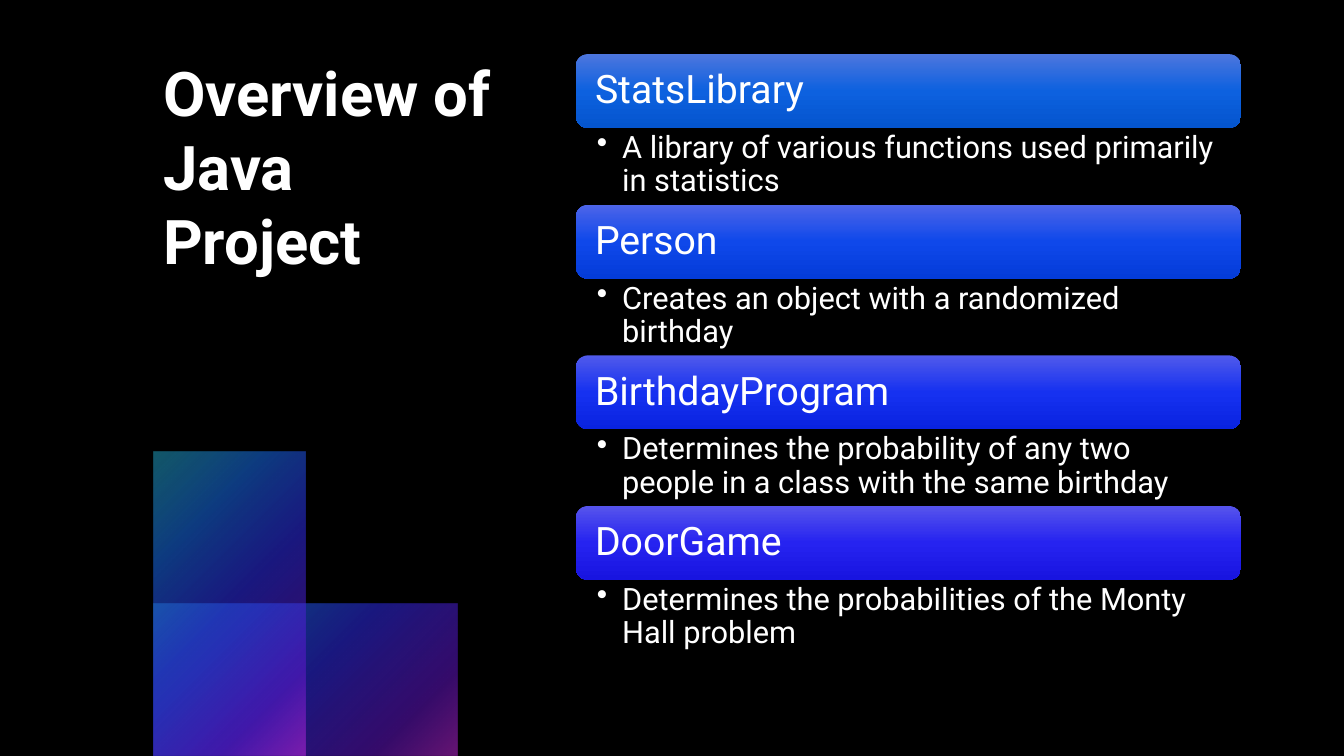
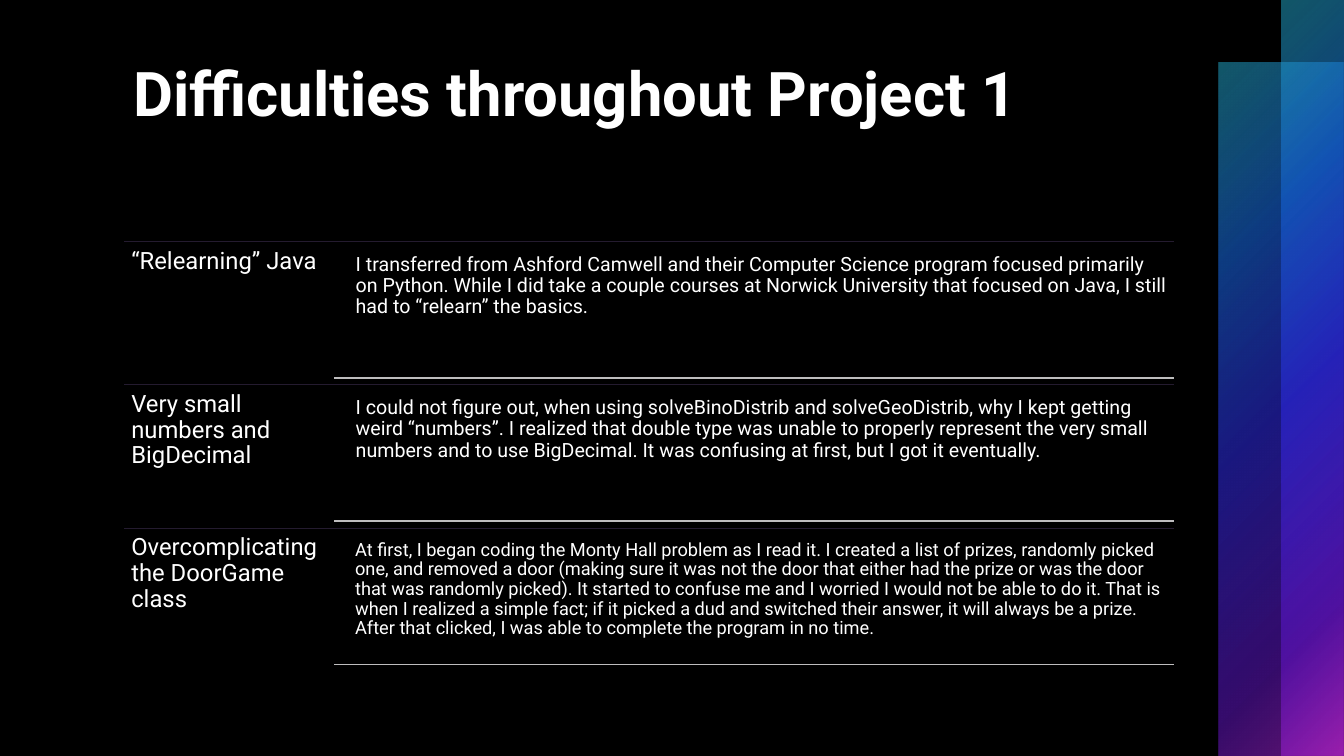
from lxml import etree
from pptx import Presentation
from pptx.dml.color import RGBColor
from pptx.enum import shapes, text
from pptx.oxml import ns
from pptx.util import Pt

WIDTH, HEIGHT = 960, 540
FONT = "Roboto"
COLORS = {"background": "000000", "text": "FFFFFF", "faint rule": "241B2F", "rule": "BEBDBE"}
# Gradient stops: position %, colour, opacity %
GLOW = [(0, "25AECE", 50), (25, "1763D5", 60), (50, "2F2CE7", 55),
        (81, "6A17D5", 50), (99, "CB29E7", 50)]

OVERVIEW_TITLE = "Overview of Java Project"
CLASSES = [
    ("StatsLibrary", "A library of various functions used primarily in statistics",
     ("4D76DE", "0D61DF", "0455CE")),
    ("Person", "Creates an object with a randomized birthday",
     ("4D65E9", "0F48EA", "043CD9")),
    ("BirthdayProgram",
     "Determines the probability of any two people in a class with the same birthday",
     ("505AEB", "1631F0", "0923E0")),
    ("DoorGame", "Determines the probabilities of the Monty Hall problem",
     ("5654EC", "2623F0", "1814E0")),
]

DIFFICULTIES_TITLE = "Difficulties throughout Project 1"
# Topic, explanation, explanation size, explanation inset
DIFFICULTIES = [
    ("“Relearning” Java",
     "I transferred from Ashford Camwell and their Computer Science program focused "
     "primarily on Python. While I did take a couple courses at Norwick University that "
     "focused on Java, I still had to “relearn” the basics.", 14, 4.2),
    ("Very small numbers and BigDecimal",
     "I could not figure out, when using solveBinoDistrib and solveGeoDistrib, why I kept "
     "getting weird “numbers”. I realized that double type was unable to properly represent "
     "the very small numbers and to use BigDecimal. It was confusing at first, but I got it "
     "eventually.", 14, 4.2),
    ("Overcomplicating the DoorGame class",
     "At first, I began coding the Monty Hall problem as I read it. I created a list of "
     "prizes, randomly picked one, and removed a door (making sure it was not the door that "
     "either had the prize or was the door that was randomly picked). It started to confuse "
     "me and I worried I would not be able to do it. That is when I realized a simple fact; "
     "if it picked a dud and switched their answer, it will always be a prize. After that "
     "clicked, I was able to complete the program in no time.", 13, 3.8),
]


def points(*lengths):
    return [Pt(length) for length in lengths]


def add_element(parent, tag, **attributes):
    return etree.SubElement(parent, ns.qn(tag), attributes)


def fill_gradient(shape, stops, from_corner=False):
    """Fill from the top left corner outwards, or else from top to bottom."""
    gradient = etree.Element(ns.qn("a:gradFill"), rotWithShape="1")
    stop_list = add_element(gradient, "a:gsLst")
    for position, color, opacity in stops:
        stop = add_element(stop_list, "a:gs", pos=str(position * 1000))
        tint = add_element(stop, "a:srgbClr", val=color)
        if opacity < 100:
            add_element(tint, "a:alpha", val=str(opacity * 1000))
    if from_corner:
        circle = add_element(gradient, "a:path", path="circle")
        add_element(circle, "a:fillToRect", r="100000", b="100000")
    else:
        add_element(gradient, "a:lin", ang="5400000", scaled="0")
    shape.element.spPr.find(ns.qn("a:prstGeom")).addnext(gradient)


def add_panel(slide, kind, box, stops, from_corner=False):
    panel = slide.shapes.add_shape(kind, *points(*box))
    panel.shadow.inherit = False
    panel.line.fill.background()
    fill_gradient(panel, stops, from_corner)
    return panel


def write(shape, words, size, insets, bold=False, spacing=0.9,
          anchor=text.MSO_ANCHOR.TOP):
    frame = shape.text_frame
    frame.text = words
    frame.word_wrap = True
    frame.vertical_anchor = anchor
    frame.margin_left, frame.margin_top, frame.margin_right, frame.margin_bottom = points(*insets)
    paragraph = frame.paragraphs[0]
    paragraph.alignment = text.PP_ALIGN.LEFT
    paragraph.line_spacing = spacing
    font = paragraph.runs[0].font
    font.name, font.size, font.bold = FONT, Pt(size), bold
    font.color.rgb = RGBColor.from_string(COLORS["text"])
    return paragraph


def add_text(slide, box, words, size, insets, **style):
    return write(slide.shapes.add_textbox(*points(*box)), words, size, insets, **style)


def add_bullet(paragraph, indent):
    properties = paragraph._p.get_or_add_pPr()
    properties.set("marL", str(Pt(indent)))
    properties.set("indent", str(-Pt(indent)))
    add_element(properties, "a:buChar", char="•")


def add_rule(slide, left, right, y, color, weight):
    rule = slide.shapes.add_connector(shapes.MSO_CONNECTOR.STRAIGHT, *points(left, y, right, y))
    rule.line.color.rgb = RGBColor.from_string(COLORS[color])
    rule.line.width = Pt(weight)
    add_element(rule.element.spPr, "a:effectLst")


def add_slide(deck, title, title_box, glow_boxes):
    slide = deck.slides.add_slide(deck.slide_layouts[6])
    slide.background.fill.solid()
    slide.background.fill.fore_color.rgb = RGBColor.from_string(COLORS["background"])
    for box in glow_boxes:
        add_panel(slide, shapes.MSO_SHAPE.RECTANGLE, box, GLOW, from_corner=True)
    add_text(slide, title_box, title, 44, (7.2, 3.6, 7.2, 3.6), bold=True, spacing=1.0)
    return slide


def add_overview(deck):
    left, block = 109.4, 108.8
    slide = add_slide(deck, OVERVIEW_TITLE, (left, 36, 250.6, 267), [
        (left, HEIGHT - block, 2 * block, block),
        (left, HEIGHT - 2 * block, block, 2 * block)])
    list_left, list_top, list_width = 411.3, 38.6, 475.2
    bar_height, note_height = 52.8, 54.8
    for row, (name, purpose, shades) in enumerate(CLASSES):
        top = list_top + row * (bar_height + note_height)
        stops = [(50 * step, shade, 100) for step, shade in enumerate(shades)]
        bar = add_panel(slide, shapes.MSO_SHAPE.ROUNDED_RECTANGLE,
                        (list_left, top, list_width, bar_height), stops)
        write(bar, name, 28, (11.2, 8.4, 11.2, 8.4), anchor=text.MSO_ANCHOR.MIDDLE)
        note = add_text(slide, (list_left, top + bar_height, list_width, note_height),
                        purpose, 22, (15.1, 2.8, 15.6, 2.8))
        add_bullet(note, 18)


def add_difficulties(deck):
    band = 44.7
    slide = add_slide(deck, DIFFICULTIES_TITLE, (88, 36, 746.6, 122.4), [
        (WIDTH - 2 * band, band, 2 * band, HEIGHT - band),
        (WIDTH - band, 0, band, HEIGHT)])
    left, right, first_top, row_height = 88.7, 838.7, 172.6, 102.3
    topic_width, detail_left, detail_gap = 150, 249.9, 5
    detail_height = row_height - 2 * detail_gap
    for row, (topic, detail, size, inset) in enumerate(DIFFICULTIES):
        top = first_top + row * row_height
        add_rule(slide, left, right, top, "faint rule", 0.5)
        add_text(slide, (left, top, topic_width, row_height), topic, 17, [5.1] * 4)
        add_text(slide, (detail_left, top + detail_gap, right - detail_left, detail_height),
                 detail, size, [inset] * 4)
        add_rule(slide, left + topic_width, right, top + detail_gap + detail_height, "rule", 1)


def main():
    deck = Presentation()
    deck.slide_width, deck.slide_height = points(WIDTH, HEIGHT)
    add_overview(deck)
    add_difficulties(deck)
    deck.save("out.pptx")


if __name__ == "__main__":
    main()
